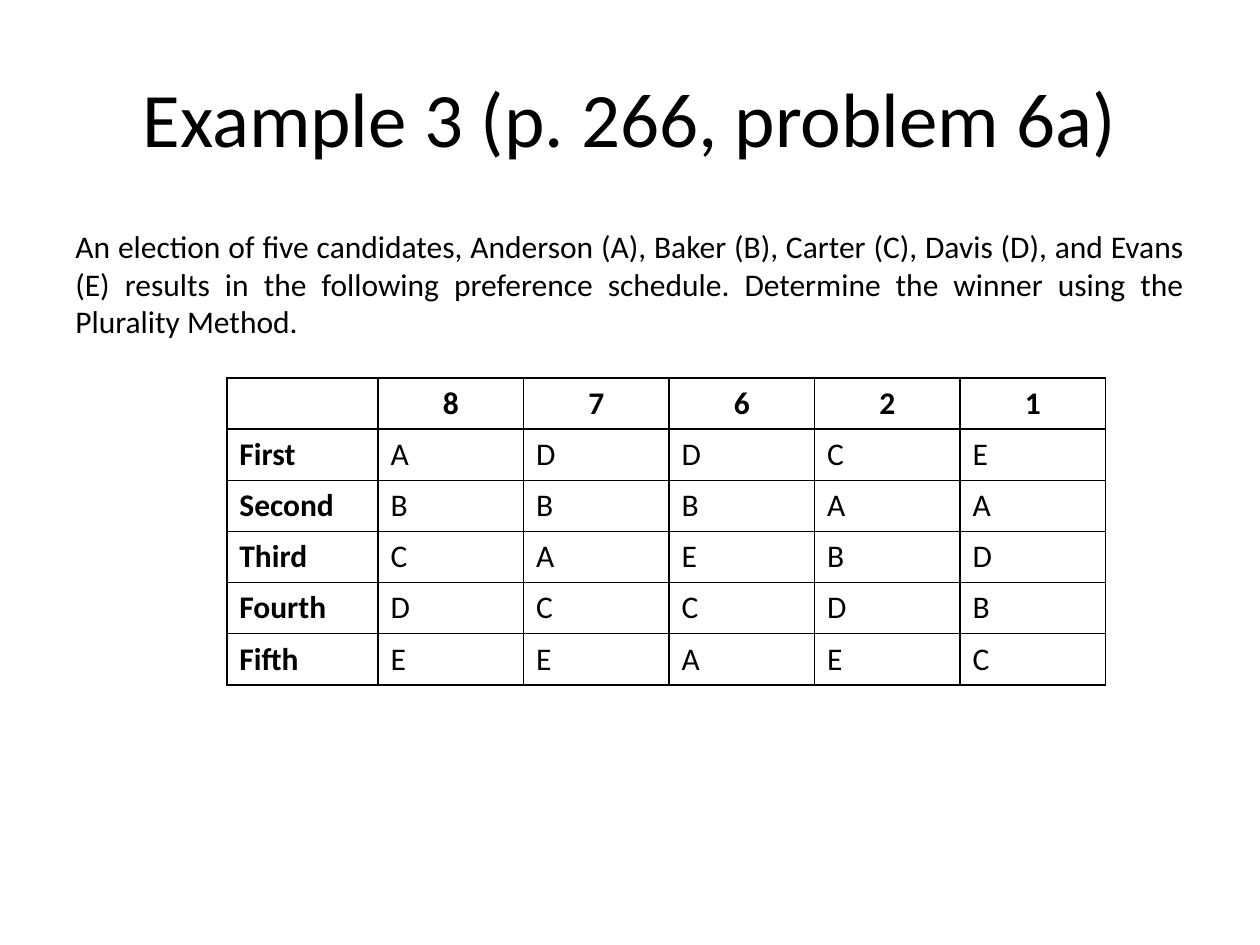
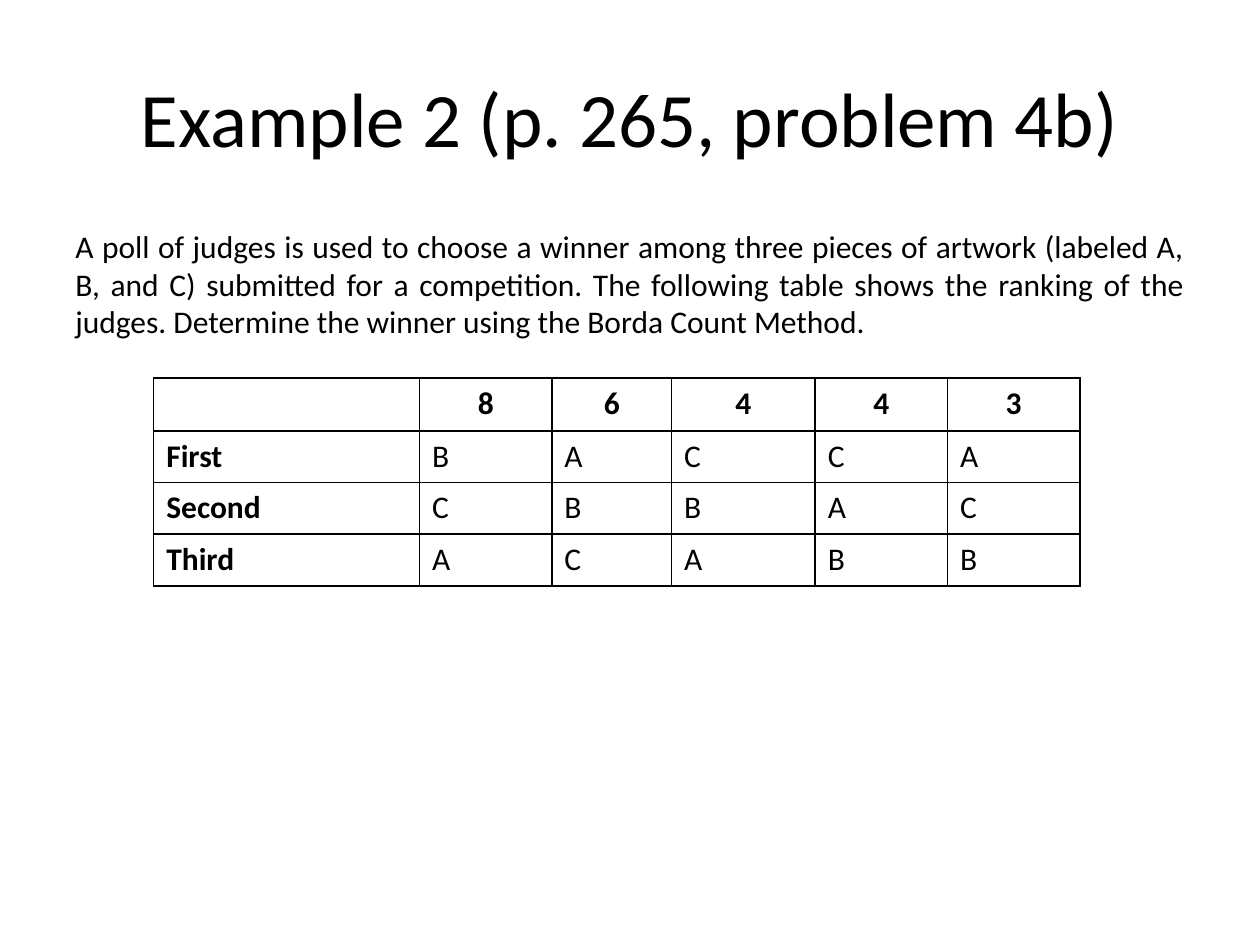
from lxml.etree import SubElement
from pptx import Presentation
from pptx.dml.color import RGBColor
from pptx.enum.text import MSO_ANCHOR, PP_ALIGN
from pptx.oxml.ns import qn
from pptx.util import Inches, Pt

INK = "000000"
FONT = "Calibri"
LEFT, WIDTH = 0.5, 9
TABLE_TOP = 3


def color(hex_code):
    return RGBColor.from_string(hex_code)


def write(frame, text, size=18, bold=False, align=PP_ALIGN.LEFT, anchor=MSO_ANCHOR.TOP):
    frame.word_wrap = True
    frame.vertical_anchor = anchor
    paragraph = frame.paragraphs[0]
    paragraph.alignment = align
    run = paragraph.add_run()
    run.text = text
    run.font.name = FONT
    run.font.size = Pt(size)
    run.font.bold = bold
    run.font.color.rgb = color(INK)


def outline(cell):
    properties = cell._tc.get_or_add_tcPr()
    for side in ("lnL", "lnR", "lnT", "lnB"):
        line = SubElement(properties, qn(f"a:{side}"), w=str(Pt(1)))
        SubElement(SubElement(line, qn("a:solidFill")), qn("a:srgbClr"), val=INK)
    cell.fill.background()


class ExampleDeck:
    def __init__(self):
        self.presentation = Presentation()
        self.presentation.slide_width = Inches(10)
        self.presentation.slide_height = Inches(7.5)
        self.slide = None

    def title(self, text):
        self.slide = self.presentation.slides.add_slide(self.presentation.slide_layouts[5])
        heading = self.slide.shapes.title
        heading.left, heading.top = Inches(LEFT), Inches(0.3)
        heading.width, heading.height = Inches(WIDTH), Inches(1.25)
        write(heading.text_frame, text, size=44, align=PP_ALIGN.CENTER, anchor=MSO_ANCHOR.MIDDLE)

    def problem(self, text):
        statement = self.slide.shapes.add_textbox(
            Inches(LEFT), Inches(1.75), Inches(WIDTH), Inches(1.25))
        write(statement.text_frame, text, align=PP_ALIGN.JUSTIFY)

    def schedule(self, left, widths, heights, votes, rankings):
        rows = [("", *votes)] + [(place, *choices) for place, choices in rankings.items()]
        table = self.slide.shapes.add_table(
            len(rows), len(widths), Inches(left), Inches(TABLE_TOP),
            Inches(sum(widths)), Inches(sum(heights))).table
        table.first_row = table.horz_banding = False
        for column, width in zip(table.columns, widths):
            column.width = Inches(width)
        for row, height in zip(table.rows, heights):
            row.height = Inches(height)
        for r, values in enumerate(rows):
            for c, value in enumerate(values):
                cell = table.cell(r, c)
                outline(cell)
                if value:
                    write(cell.text_frame, value, bold=r == 0 or c == 0,
                          align=PP_ALIGN.LEFT if r else PP_ALIGN.CENTER)

    def save(self):
        self.presentation.save("out.pptx")


def main():
    deck = ExampleDeck()

    deck.title("Example 3 (p. 266, problem 6a)")
    deck.problem(
        "An election of five candidates, Anderson (A), Baker (B), Carter (C), Davis (D), "
        "and Evans (E) results in the following preference schedule. "
        "Determine the winner using the Plurality Method.")
    deck.schedule(
        1.8, [1.2] + [1.155] * 5, [0.406] * 6, "87621",
        {"First": "ADDCE", "Second": "BBBAA", "Third": "CAEBD",
         "Fourth": "DCCDB", "Fifth": "EEAEC"})

    deck.title("Example 2 (p. 265, problem 4b)")
    deck.problem(
        "A poll of judges is used to choose a winner among three pieces of artwork "
        "(labeled A, B, and C) submitted for a competition. The following table shows "
        "the ranking of the judges. Determine the winner using the Borda Count Method.")
    deck.schedule(
        1.22, [2.11, 1.05, 0.95, 1.14, 1.05, 1.05], [0.42] + [0.41] * 3, "86443",
        {"First": "BACCA", "Second": "CBBAC", "Third": "ACABB"})

    deck.save()


if __name__ == "__main__":
    main()
